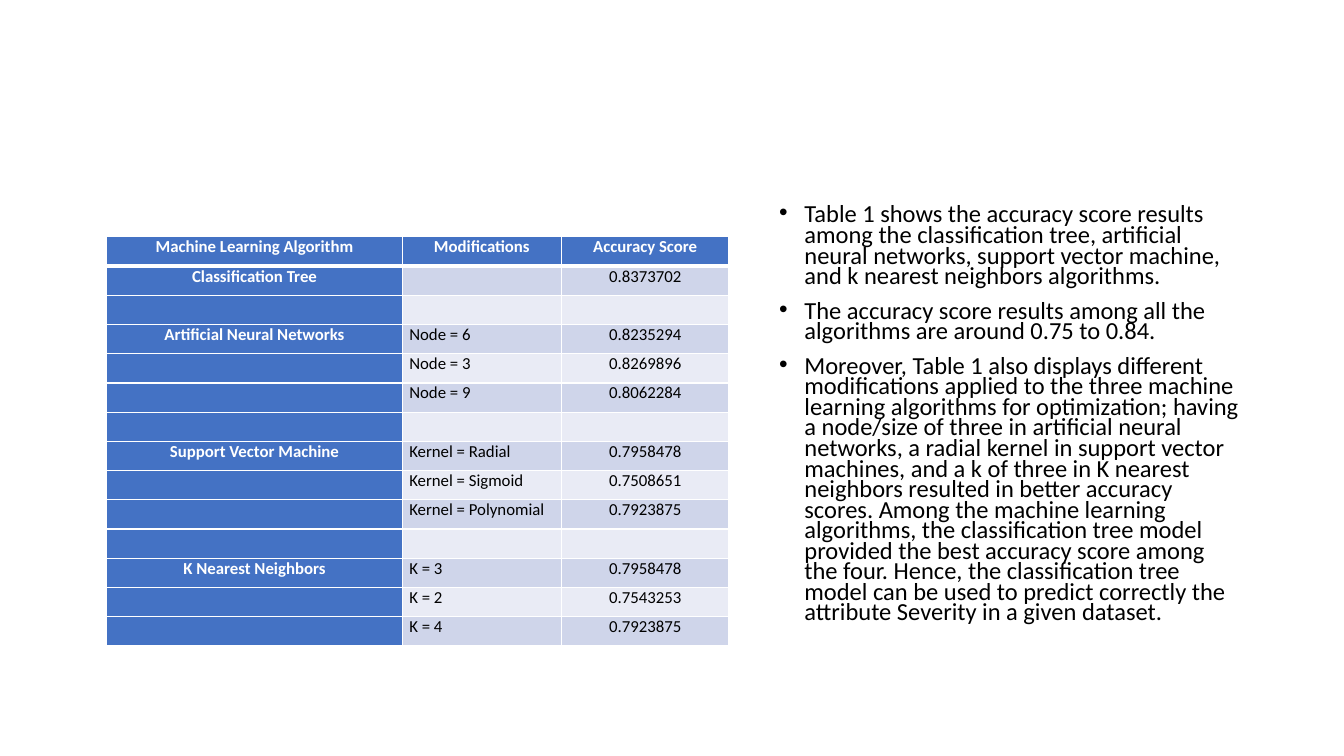
from dataclasses import dataclass

from lxml.etree import SubElement
from pptx import Presentation
from pptx.dml.color import RGBColor
from pptx.enum.text import PP_ALIGN as Align
from pptx.oxml.ns import qn
from pptx.util import Inches, Pt

FONT = "Calibri"
WHITE, BLACK = "FFFFFF", "000000"
BLUE, DARK_BAND, LIGHT_BAND = "4472C4", "CFD5EA", "E9EBF5"
COLUMN_WIDTHS = (2.93, 1.58, 1.66)
ROW_HEIGHT = 0.29


@dataclass
class Result:
    algorithm: str = ""
    modification: str = ""
    score: str = ""


RESULTS = [
    Result("Machine Learning Algorithm", "Modifications", "Accuracy Score"),
    Result("Classification Tree", "", "0.8373702"),
    Result(),
    Result("Artificial Neural Networks", "Node = 6", "0.8235294"),
    Result("", "Node = 3", "0.8269896"),
    Result("", "Node = 9", "0.8062284"),
    Result(),
    Result("Support Vector Machine", "Kernel = Radial", "0.7958478"),
    Result("", "Kernel = Sigmoid", "0.7508651"),
    Result("", "Kernel = Polynomial", "0.7923875"),
    Result(),
    Result("K Nearest Neighbors", "K = 3", "0.7958478"),
    Result("", "K = 2", "0.7543253"),
    Result("", "K = 4", "0.7923875"),
]

FINDINGS = [
    "Table 1 shows the accuracy score results among the classification tree, "
    "artificial neural networks, support vector machine, and k nearest neighbors "
    "algorithms.",
    "The accuracy score results among all the algorithms are around 0.75 to 0.84.",
    "Moreover, Table 1 also displays different modifications applied to the three "
    "machine learning algorithms for optimization; having a node/size of three in "
    "artificial neural networks, a radial kernel in support vector machines, and a k "
    "of three in K nearest neighbors resulted in better accuracy scores. Among the "
    "machine learning algorithms, the classification tree model provided the best "
    "accuracy score among the four. Hence, the classification tree model can be used "
    "to predict correctly the attribute Severity in a given dataset.",
]


def color(value: str) -> RGBColor:
    return RGBColor.from_string(value)


def write(para, text: str, *, size: float, fill: str = BLACK, bold: bool = False,
          align: Align = Align.LEFT) -> None:
    para.alignment = align
    if not text:
        # An empty cell keeps the row height through its end-mark size
        SubElement(para._p, qn("a:endParaRPr"), sz=str(int(size * 100)))
        return
    span = para.add_run()
    span.text = text
    span.font.name, span.font.size, span.font.bold = FONT, Pt(size), bold
    span.font.color.rgb = color(fill)


def add_bullet(para) -> None:
    properties = para._p.get_or_add_pPr()
    properties.set("marL", str(Inches(0.25)))
    properties.set("indent", str(Inches(-0.25)))
    SubElement(properties, qn("a:buFont"), typeface="Arial")
    SubElement(properties, qn("a:buChar"), char="•")


def set_borders(cell, **widths: float) -> None:
    properties = cell._tc.get_or_add_tcPr()
    for index, (side, width) in enumerate(widths.items()):
        line = properties.makeelement(qn(f"a:ln{side}"), {"w": str(Pt(width))})
        fill = SubElement(line, qn("a:solidFill"))
        SubElement(fill, qn("a:srgbClr"), val=WHITE)
        properties.insert(index, line)


def add_results_table(page) -> None:
    table = page.shapes.add_table(
        len(RESULTS), len(COLUMN_WIDTHS), Inches(1.06), Inches(2.35),
        Inches(sum(COLUMN_WIDTHS)), Inches(ROW_HEIGHT * len(RESULTS))).table
    table.horz_banding = False
    for column, width in zip(table.columns, COLUMN_WIDTHS):
        column.width = Inches(width)
    for row, result in enumerate(RESULTS):
        table.rows[row].height = Inches(ROW_HEIGHT)
        band = DARK_BAND if row % 2 else LIGHT_BAND
        texts = (result.algorithm, result.modification, result.score)
        for column, text in enumerate(texts):
            heading = row == 0 or column == 0
            cell = table.cell(row, column)
            cell.margin_left = cell.margin_right = Inches(0.07)
            cell.margin_top = cell.margin_bottom = 0
            cell.fill.solid()
            cell.fill.fore_color.rgb = color(BLUE if heading else band)
            set_borders(cell, L=1, R=1, T=3 if row == 1 else 1, B=3 if row == 0 else 1)
            write(cell.text_frame.paragraphs[0], text, size=12, bold=heading,
                  fill=WHITE if heading else BLACK,
                  align=Align.LEFT if column == 1 and not heading else Align.CENTER)


def add_findings(page) -> None:
    box = page.shapes.add_textbox(Inches(7.63), Inches(2), Inches(4.78), Inches(4.76))
    frame = box.text_frame
    frame.word_wrap = True
    for index, finding in enumerate(FINDINGS):
        para = frame.add_paragraph() if index else frame.paragraphs[0]
        para.line_spacing = 0.7
        para.space_before = Pt(10)
        add_bullet(para)
        write(para, finding, size=17.5)


def main() -> None:
    deck = Presentation()
    deck.slide_width, deck.slide_height = Inches(13.33), Inches(7.5)
    page = deck.slides.add_slide(deck.slide_layouts[6])
    # Findings on the right, accuracy table on the left
    add_findings(page)
    add_results_table(page)
    deck.save("out.pptx")


if __name__ == "__main__":
    main()
